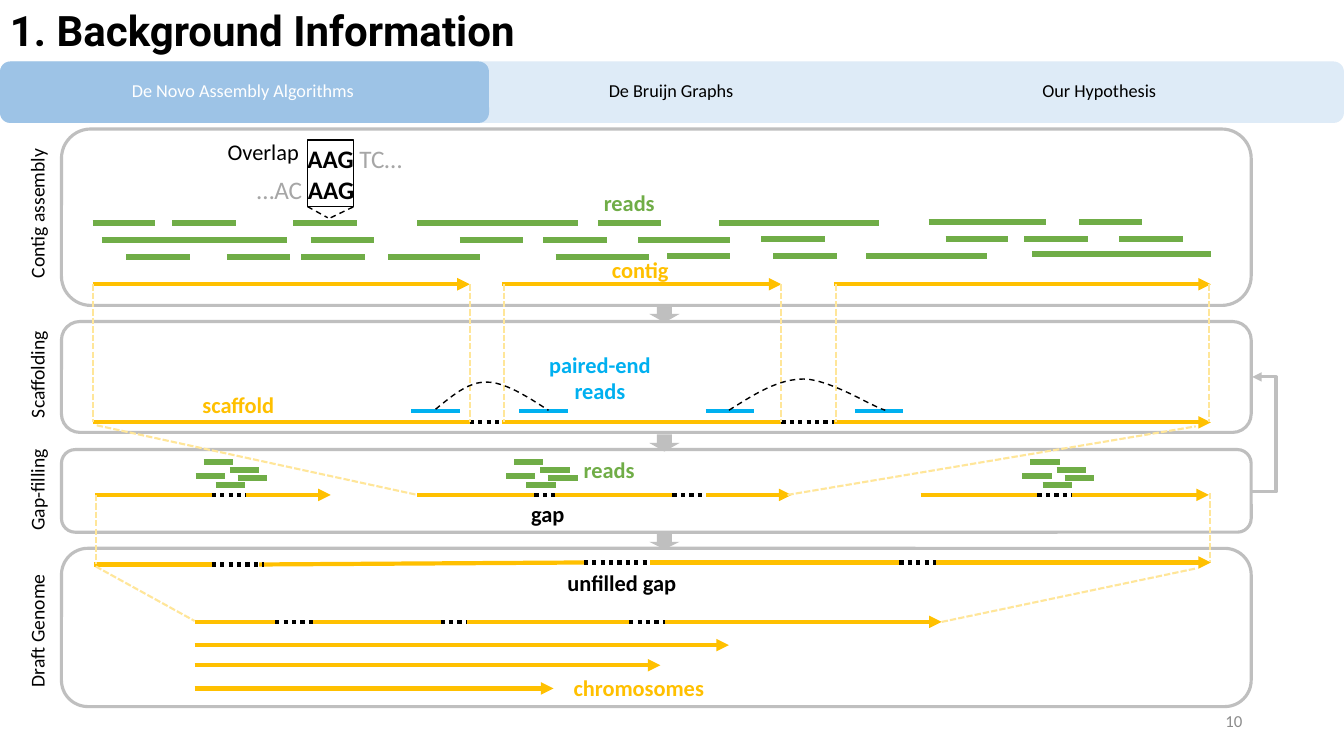
from pptx import Presentation, util as u
from pptx.dml import color as dml
from pptx.enum import dml as dash, shapes, text
from pptx.oxml import ns
from lxml import etree

COLORS = {
    "black": "000000", "white": "FFFFFF", "green": "70AD47", "gold": "FFC000",
    "pale": "FFE699", "blue": "00B0F0", "gray": "BFBFBF", "letter": "A6A6A6",
    "page": "8C8C8C", "bar": "DEEBF7", "tab": "9DC3E6",
}
DASHES = {
    "dash": dash.MSO_LINE.DASH,
    "short": dash.MSO_LINE.SQUARE_DOT,  # sysDot
    "fine": dash.MSO_LINE.DASH,
}
PRESETS = {"dash": "dash", "dots": "sysDot", "fine": "sysDash"}
SHAPE = shapes.MSO_SHAPE
ALIGN = text.PP_ALIGN


class Sketch:
    def __init__(self, slide, font="Calibri"):
        self.slide, self.font = slide, font

    def color(self, name):
        return dml.RGBColor.from_string(COLORS[name])

    def stroke(self, item, color, width, style=None, arrow=False):
        item.line.color.rgb = self.color(color)
        item.line.width = u.Pt(width)
        ln = item.line._get_or_add_ln()
        if style:
            etree.SubElement(ln, ns.qn("a:prstDash"), val=PRESETS[style])
        if arrow:
            etree.SubElement(ln, ns.qn("a:tailEnd"), type="triangle")

    def line(self, start, end, color, width, style=None, arrow=False,
             kind=shapes.MSO_CONNECTOR.STRAIGHT):
        ends = [u.Inches(v) for v in (*start, *end)]
        item = self.slide.shapes.add_connector(kind, *ends)
        self.stroke(item, color, width, style, arrow)
        etree.SubElement(item._element.spPr, ns.qn("a:effectLst"))
        return item

    def bars(self, y, spans, color="green", width=4.5):
        for left, right in spans:
            self.line((left, y), (right, y), color, width)

    def track(self, y, stops, arrow=True):
        """Gold stretches alternate with dotted gaps between the stops."""
        last = len(stops) - 2
        for i, (left, right) in enumerate(zip(stops, stops[1:])):
            color, style = ("black", "dots") if i % 2 else ("gold", None)
            self.line((left, y), (right, y), color, 3, style, arrow and i == last)

    def guide(self, start, end):
        self.line(start, end, "pale", 1.5, "fine")

    def shape(self, kind, box, fill=None, edge=None, width=2.25):
        item = self.slide.shapes.add_shape(kind, *map(u.Inches, box))
        item.shadow.inherit = False
        if fill:
            item.fill.solid()
            item.fill.fore_color.rgb = self.color(fill)
        else:
            item.fill.background()
        if edge:
            self.stroke(item, edge, width)
        else:
            item.line.fill.background()

    def arc(self, start, *curves):
        points, here = [], start
        for one, two, end in curves:
            for step in range(1, 13):
                t = step / 12
                s = 1 - t
                points.append(tuple(
                    u.Inches(s**3 * a + 3*s*s*t * b + 3*s*t*t * c + t**3 * d)
                    for a, b, c, d in zip(here, one, two, end)))
            here = end
        form = self.slide.shapes.build_freeform(*map(u.Inches, start))
        form.add_line_segments(points, close=False)
        item = form.convert_to_shape()
        item.shadow.inherit = False
        item.fill.background()
        self.stroke(item, "black", 1, "dash")

    def label(self, box, words, size=16, color="black", bold=False,
              align=ALIGN.LEFT, turn=0, font=None, middle=False):
        item = self.slide.shapes.add_textbox(*map(u.Inches, box))
        item.rotation = turn
        frame = item.text_frame
        frame.word_wrap = False
        if middle:
            frame.vertical_anchor = text.MSO_ANCHOR.MIDDLE
        for i, part in enumerate(words.split("\n")):
            para = frame.add_paragraph() if i else frame.paragraphs[0]
            para.text, para.alignment = part, align
            para.font.name, para.font.size = font or self.font, u.Pt(size)
            para.font.bold, para.font.color.rgb = bold, self.color(color)
        return frame

    def motif(self, para, parts, indent=0):
        para.font.name, para.font.size = self.font, u.Pt(18)
        para._p.get_or_add_pPr().set("marL", str(u.Inches(indent)))
        for words, bold in parts:
            run = para.add_run()
            run.text, run.font.bold = words, bold
            run.font.color.rgb = self.color("black" if bold else "letter")


deck = Presentation()
deck.slide_width, deck.slide_height = u.Inches(13.33), u.Inches(7.5)
art = Sketch(deck.slides.add_slide(deck.slide_layouts[6]))

# Title, page number and tabs
art.label((0, 0, 6.92, 0.61), "1. Background Information", 30, bold=True, font="Roboto")
art.label((9.42, 6.95, 3, 0.4), "10", 12, "page", align=ALIGN.RIGHT, middle=True)
art.shape(SHAPE.ROUNDED_RECTANGLE, (0, 0.61, 13.33, 0.61), "bar")
art.shape(SHAPE.ROUNDED_RECTANGLE, (0, 0.61, 4.85, 0.61), "tab")
for left, width, name, color in [
        (1.21, 2.44, "De Novo Assembly Algorithms", "white"),
        (5.94, 1.46, "De Bruijn Graphs", "black"),
        (10.24, 1.35, "Our Hypothesis", "black")]:
    art.label((left, 0.74, width, 0.32), name, 13, color)

# Stage panels with side names
for top, height, name, mid, width in [
        (1.28, 1.75, "Contig assembly", 2.11, 1.5),
        (3.19, 1.1, "Scaffolding", 3.71, 1.07),
        (4.46, 0.82, "Gap-filling", 4.85, 1.02),
        (5.44, 1.57, "Draft Genome", 6.25, 1.33)]:
    art.shape(SHAPE.ROUNDED_RECTANGLE, (0.61, top, 11.8, height), edge="gray")
    art.label((0.37 - width / 2, mid - 0.17, width, 0.34), name, 14, turn=270)
for top, height in [(3.03, 0.17), (4.31, 0.17), (5.3, 0.15)]:
    art.shape(SHAPE.DOWN_ARROW, (6.44, top, 0.3, height), "gray")

# Loop back from gap-filling to scaffolding
loop = art.line((12.41, 4.88), (12.42, 3.74), "gray", 2.25, arrow=True,
                kind=shapes.MSO_CONNECTOR.ELBOW)
bend = loop._element.spPr.find(ns.qn("a:prstGeom")).get_or_add_avLst()
etree.SubElement(bend, ns.qn("a:gd"), name="adj1", fmla="val 2500000")

# Contig assembly: reads
READS = {
    2.21: [(0.92, 1.54), (1.71, 2.34), (2.91, 3.54), (4.14, 5.19), (5.11, 5.73),
           (5.93, 6.56), (7.13, 7.75), (7.55, 8.72)],
    2.2: [(9.21, 10.37), (10.7, 11.33)],
    2.38: [(1.01, 2.1), (1.94, 2.85), (3.08, 3.71), (4.56, 5.19), (5.39, 6.02),
           (6.33, 7.24)],
    2.37: [(7.55, 8.18), (9.38, 10), (10.16, 10.79), (11.1, 11.73)],
    2.55: [(1.25, 1.88), (2.25, 2.88), (2.99, 3.62), (3.85, 4.76), (5.51, 6.44)],
    2.54: [(6.62, 7.24), (7.67, 8.3), (8.59, 9.79)],
    2.52: [(10.24, 11.86), (11.39, 12.01)],
}
for y, spans in READS.items():
    art.bars(y, spans)
art.label((5.89, 1.83, 0.71, 0.37), "reads", color="green", bold=True)

# Contig assembly: overlap
art.line((3.05, 2.05), (3.25, 2.16), "black", 1, "dash")
art.line((3.28, 2.16), (3.51, 2.05), "black", 1, "dash")
frame = art.label((2.45, 1.32, 1.7, 0.81), "", middle=True)
art.motif(frame.paragraphs[0], [("AAG ", True), ("TC…", False)], 0.5)
art.motif(frame.add_paragraph(), [("…AC ", False), ("AAG", True)])
art.shape(SHAPE.RECTANGLE, (3.05, 1.39, 0.46, 0.66), edge="black", width=1)
art.label((2.16, 1.32, 0.92, 0.37), "Overlap")

# Contigs and the scaffold they form
CONTIGS = [0.92, 4.66, 4.98, 7.75, 8.27, 12.01]
for left, right in zip(CONTIGS[::2], CONTIGS[1::2]):
    art.track(2.82, [left, right])
art.label((5.97, 2.49, 0.77, 0.37), "contig", color="gold", bold=True)
art.track(4.19, CONTIGS)
for x in (0.92, 4.66, 5, 7.75, 8.29, 11.99):
    art.guide((x, 2.82), (x, 4.19))
art.label((1.91, 3.83, 0.93, 0.37), "scaffold", color="gold", bold=True)

# Paired-end reads
art.bars(4.08, [(x, x + 0.48) for x in (4.08, 5.15, 7, 8.48)], "blue", 3)
art.arc((4.32, 4.06), ((4.48, 3.93), (4.64, 3.79), (4.82, 3.79)),
        ((5.01, 3.79), (5.22, 3.93), (5.44, 4.07)))
art.arc((7.23, 4.07), ((7.47, 3.92), (7.71, 3.76), (7.97, 3.76)),
        ((8.23, 3.76), (8.66, 4.04), (8.78, 4.07)))
art.label((5.34, 3.43, 1.22, 0.64), "paired-end\nreads", color="blue", bold=True,
          align=ALIGN.CENTER)

# Gap-filling
for stops in ([0.94, 2.1, 2.44, 3.28], [4.14, 5.3, 5.5, 6.67, 7, 7.85],
              [9.13, 10.29, 10.63, 11.99]):
    art.track(4.91, stops)
for base in (1.94, 5.02, 10.14):
    for shift, y in [(0.08, 4.58), (0.34, 4.66), (0, 4.72), (0.42, 4.74), (0.2, 4.81)]:
        art.bars(y, [(base + shift, base + shift + 0.29)])
art.guide((0.96, 4.22), (4.14, 4.91))
art.guide((7.81, 4.91), (11.86, 4.23))
art.label((5.17, 4.91, 0.54, 0.37), "gap", bold=True)
art.label((5.69, 4.48, 0.71, 0.37), "reads", color="green", bold=True)

# Draft genome: unfilled gaps
art.line((2.57, 5.6), (5.83, 5.58), "gold", 3)
art.track(5.6, [0.93, 2.1, 2.62], arrow=False)
art.line((5.79, 5.58), (6.45, 5.58), "black", 3, "dots")
art.track(5.58, [6.45, 8.92, 9.28, 12.01])
art.label((5.53, 5.6, 1.3, 0.37), "unfilled gap", bold=True)
for start, end in [((0.95, 4.91), (0.95, 5.6)), ((12, 4.89), (12, 5.58)),
                   ((0.95, 5.62), (1.93, 6.16)), ((9.34, 6.17), (11.86, 5.64))]:
    art.guide(start, end)

# Draft genome: chromosomes
art.track(6.17, [1.93, 2.73, 3.1, 4.37, 4.63, 6.24, 6.6, 9.34])
for y, right in [(6.4, 7.23), (6.6, 6.55), (6.83, 5.49)]:
    art.track(y, [1.93, right])
art.label((5.59, 6.64, 1.51, 0.37), "chromosomes", color="gold", bold=True)

deck.save("out.pptx")
